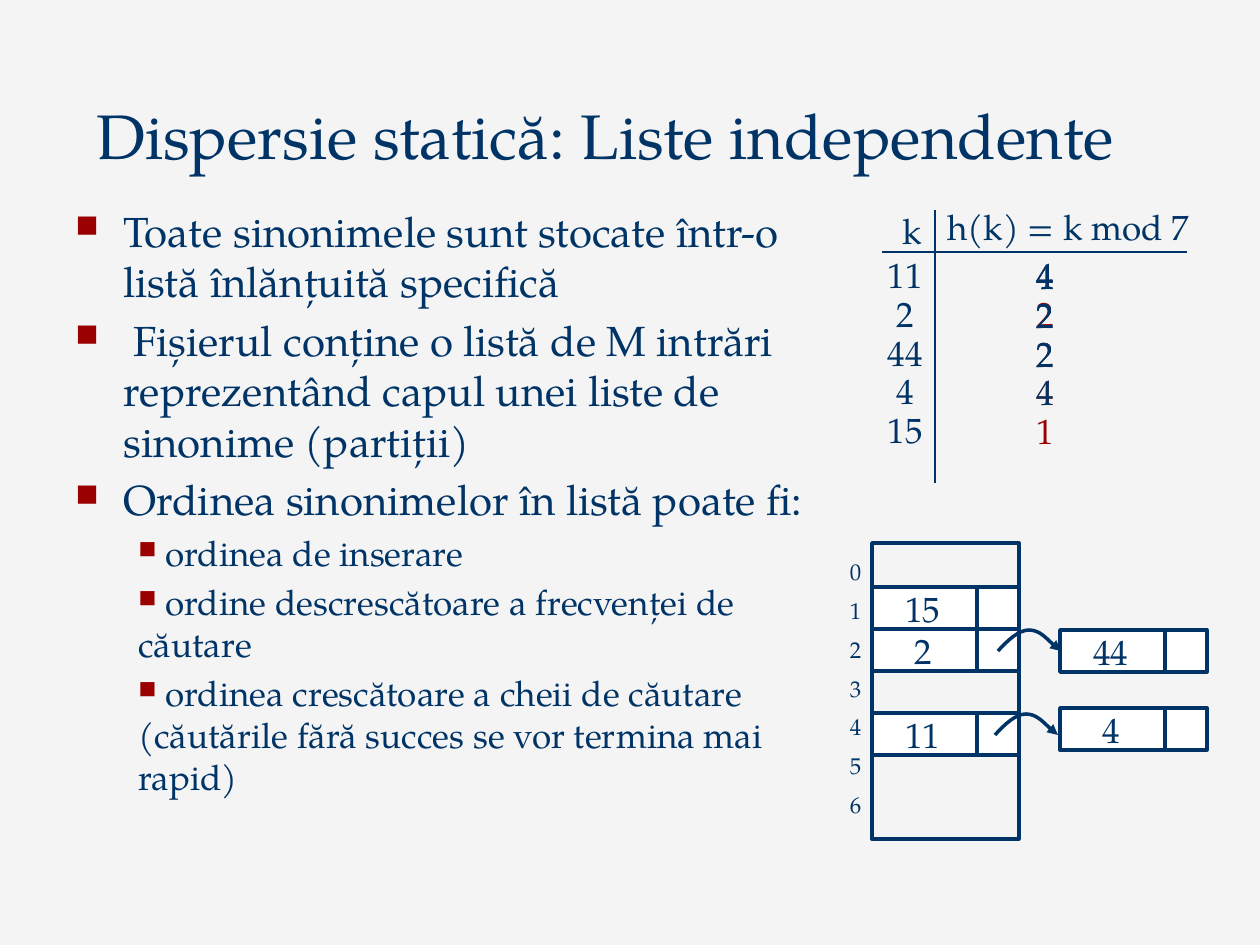
"""Build the slide on static hashing with independent synonym lists."""
from dataclasses import dataclass

from lxml.etree import SubElement
from pptx import Presentation
from pptx.dml.color import RGBColor
from pptx.enum.shapes import MSO_CONNECTOR, MSO_SHAPE
from pptx.enum.text import MSO_ANCHOR, PP_ALIGN
from pptx.oxml.ns import qn
from pptx.slide import Slide
from pptx.util import Emu, Pt

SCALE = 914400 / 126


@dataclass(frozen=True)
class Theme:
    font: str = "TeX Gyre Pagella"
    ink: str = "003366"
    accent: str = "9A0000"
    cell: str = "FFFFFF"
    background: str = "F4F4F4"
    title: int = 36
    body: int = 24
    label: int = 20
    index: int = 13
    thick: float = 2
    thin: float = 0.75


@dataclass(frozen=True)
class Box:
    left: int
    top: int
    width: int
    height: int


@dataclass(frozen=True)
class Bullet:
    level: int
    size: int
    margin: int
    indent: int
    percent: int


@dataclass(frozen=True)
class Node:
    key: str
    left: int
    top: int


THEME = Theme()
MAIN = Bullet(0, THEME.body, 48, -48, 75)
DETAIL = Bullet(1, THEME.label, 63, 0, 70)
POINTS = [
    ("Toate sinonimele sunt stocate într-o listă înlănțuită specifică", MAIN),
    (" Fișierul conține o listă de M intrări reprezentând capul unei liste de sinonime (partiții)", MAIN),
    ("Ordinea sinonimelor în listă poate fi:", MAIN),
    (" ordinea de inserare", DETAIL),
    (" ordine descrescătoare a frecvenței de căutare", DETAIL),
    (" ordinea crescătoare a cheii de căutare (căutările fără succes se vor termina mai rapid)", DETAIL),
]
KEYS = [11, 2, 44, 4, 15]
NODES = [
    Node("11", 872, 713),
    Node("2", 872, 629),
    Node("44", 1060, 630),
    Node("4", 1060, 708),
    Node("15", 872, 587),
]
ARROW_STARTS = [(998, 651), (995, 735)]
ARROW_CURVE = [(10, -11), (21, -21), (31, -21), (42, -21), (58, -3), (63, 0)]


def px(value: int) -> Emu:
    return Emu(round(value * SCALE))


def rgb(value: str) -> RGBColor:
    return RGBColor.from_string(value)


def place(box: Box) -> tuple:
    return px(box.left), px(box.top), px(box.width), px(box.height)


def add_bullet(para, bullet: Bullet) -> None:
    para.level = bullet.level
    properties = para._p.get_or_add_pPr()
    properties.set("marL", str(px(bullet.margin)))
    properties.set("indent", str(px(bullet.indent)))
    color = SubElement(properties, qn("a:buClr"))
    SubElement(color, qn("a:srgbClr"), val=THEME.accent)
    SubElement(properties, qn("a:buSzPct"), val=str(bullet.percent * 1000))
    SubElement(properties, qn("a:buChar"), char="■")


def write(slide: Slide, box: Box, texts: list[str], *, size: int = THEME.label,
          align=PP_ALIGN.LEFT, anchor=MSO_ANCHOR.TOP, gap: float = 0.5,
          line_spacing: float | None = None, bullets: list[Bullet] | None = None,
          last_color: str = THEME.ink) -> None:
    frame = slide.shapes.add_textbox(*place(box)).text_frame
    frame.word_wrap = True
    frame.vertical_anchor = anchor
    for number, text in enumerate(texts):
        para = frame.add_paragraph() if number else frame.paragraphs[0]
        points = size
        if bullets:
            add_bullet(para, bullets[number])
            points = bullets[number].size
        para.alignment = align
        if line_spacing:
            para.line_spacing = line_spacing
        if number:
            para.space_before = Pt(points * gap)
        span = para.add_run()
        span.text = text
        span.font.name = THEME.font
        span.font.size = Pt(points)
        last = number == len(texts) - 1
        span.font.color.rgb = rgb(last_color if last else THEME.ink)


def add_line(slide: Slide, start: tuple[int, int], end: tuple[int, int], width: float) -> None:
    line = slide.shapes.add_connector(MSO_CONNECTOR.STRAIGHT, *map(px, start + end))
    line.line.color.rgb = rgb(THEME.ink)
    line.line.width = Pt(width)
    SubElement(line._element.spPr, qn("a:effectLst"))


def add_rectangle(slide: Slide, box: Box, fill: str | None = None) -> None:
    shape = slide.shapes.add_shape(MSO_SHAPE.RECTANGLE, *place(box))
    shape.shadow.inherit = False
    if fill:
        shape.fill.solid()
        shape.fill.fore_color.rgb = rgb(fill)
    else:
        shape.fill.background()
    shape.line.color.rgb = rgb(THEME.ink)
    shape.line.width = Pt(THEME.thick)


def add_node(slide: Slide, node: Node) -> None:
    add_rectangle(slide, Box(node.left, node.top, 147, 42), THEME.cell)
    divider = node.left + 105
    add_line(slide, (divider, node.top), (divider, node.top + 42), THEME.thick)
    write(slide, Box(node.left + 9, node.top - 6, 84, 54), [node.key], align=PP_ALIGN.CENTER)


def add_arrow(slide: Slide, start: tuple[int, int]) -> None:
    left, top = start
    builder = slide.shapes.build_freeform(left, top, scale=SCALE)
    builder.add_line_segments([(left + x, top + y) for x, y in ARROW_CURVE], close=False)
    shape = builder.convert_to_shape()
    segments = list(shape._element.iter(qn("a:lnTo")))
    outline = segments[0].getparent()
    for first in range(0, len(segments), 3):
        curve = SubElement(outline, qn("a:cubicBezTo"))
        for segment in segments[first:first + 3]:
            curve.append(segment[0])
            outline.remove(segment)
    shape.shadow.inherit = False
    shape.fill.background()
    shape.line.color.rgb = rgb(THEME.ink)
    shape.line.width = Pt(THEME.thick)
    SubElement(shape.line._get_or_add_ln(), qn("a:tailEnd"), type="triangle")


def add_hash_table(slide: Slide) -> None:
    write(slide, Box(935, 199, 294, 54), ["h(k) = k mod 7"])
    add_line(slide, (935, 210), (935, 483), THEME.thin)
    add_line(slide, (882, 252), (1187, 252), THEME.thin)
    write(slide, Box(890, 203, 53, 54), ["k"])
    write(slide, Box(874, 266, 63, 204), [str(key) for key in KEYS],
          align=PP_ALIGN.CENTER, line_spacing=0.5)
    hashes = [str(key % 7) for key in KEYS]
    for count in range(1, len(hashes) + 1):
        write(slide, Box(977, 266 + count // 3, 136, 42 * count - 8), hashes[:count],
              align=PP_ALIGN.CENTER, line_spacing=0.5, last_color=THEME.accent)


def add_bucket_lists(slide: Slide) -> None:
    add_rectangle(slide, Box(872, 543, 147, 296))
    write(slide, Box(819, 552, 73, 287), [str(index) for index in range(7)],
          size=THEME.index, align=PP_ALIGN.CENTER)
    for node in NODES:
        add_node(slide, node)
    for start in ARROW_STARTS:
        add_arrow(slide, start)


def main() -> None:
    deck = Presentation()
    deck.slide_width, deck.slide_height = px(1260), px(945)
    page = deck.slides.add_slide(deck.slide_layouts[6])
    page.background.fill.solid()
    page.background.fill.fore_color.rgb = rgb(THEME.background)
    write(page, Box(84, 89, 1058, 89), ["Dispersie statică: Liste independente"],
          size=THEME.title, anchor=MSO_ANCHOR.BOTTOM)
    write(page, Box(63, 199, 766, 693), [text for text, _ in POINTS],
          gap=0.2, bullets=[bullet for _, bullet in POINTS])
    add_hash_table(page)
    add_bucket_lists(page)
    deck.save("out.pptx")


if __name__ == "__main__":
    main()
